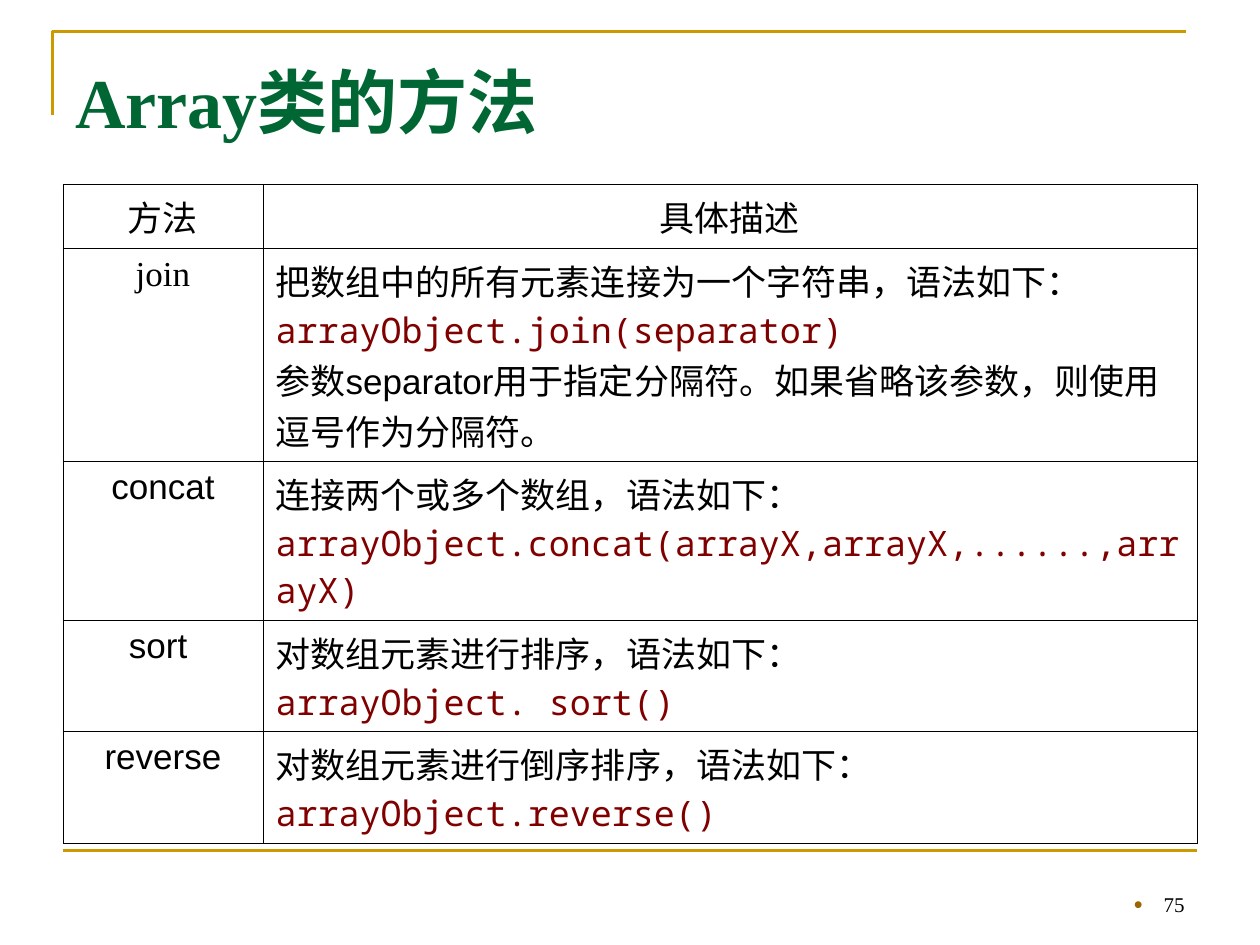
from lxml import etree
from pptx import Presentation
from pptx.dml.color import RGBColor
from pptx.enum.shapes import MSO_CONNECTOR
from pptx.enum.text import MSO_ANCHOR, PP_ALIGN
from pptx.oxml.ns import qn
from pptx.util import Cm, Pt

LEFT, CENTER, RIGHT = PP_ALIGN.LEFT, PP_ALIGN.CENTER, PP_ALIGN.RIGHT
TOP, BOTTOM = MSO_ANCHOR.TOP, MSO_ANCHOR.BOTTOM
STRAIGHT = MSO_CONNECTOR.STRAIGHT

GOLD = RGBColor(0xCC, 0x99, 0x00)
GREEN = RGBColor(0x00, 0x66, 0x33)
MAROON = RGBColor(0x80, 0x00, 0x00)
BROWN = RGBColor(0x99, 0x66, 0x00)
BLACK = RGBColor(0x00, 0x00, 0x00)
WHITE = RGBColor(0xFF, 0xFF, 0xFF)

SANS, SERIF, MONO = "Arial", "Times New Roman", "Noto Sans Mono"
CODE = "arrayObject."

HEADS = ("方法", "具体描述")
METHODS = [
    ("join", ["把数组中的所有元素连接为一个字符串，语法如下：",
              "arrayObject.join(separator)",
              "参数separator用于指定分隔符。如果省略该参数，则使用逗号作为分隔符。"]),
    ("concat", ["连接两个或多个数组，语法如下：",
                "arrayObject.concat(arrayX,arrayX,......,arrayX)"]),
    ("sort ", ["对数组元素进行排序，语法如下：", "arrayObject. sort()"]),
    ("reverse", ["对数组元素进行倒序排序，语法如下：", "arrayObject.reverse()"]),
]
WIDTHS = (4.03, 18.83)
HEIGHTS = (1.29, 4.29, 3.21, 2.24, 2.25)


def write(para, text, size=20, font=SANS, color=BLACK, bold=False, align=LEFT):
    para.alignment = align
    run = para.add_run()
    run.text = text
    run.font.size = Pt(size)
    run.font.name = font
    run.font.bold = bold
    run.font.color.rgb = color


def add_box(slide, left, top, width, height, anchor):
    """Add a wrapping text box and return its first paragraph."""
    frame = slide.shapes.add_textbox(Cm(left), Cm(top), Cm(width), Cm(height)).text_frame
    frame.word_wrap = True
    frame.vertical_anchor = anchor
    return frame.paragraphs[0]


def add_bullet(para, char, color, percent, indent):
    props = para._p.get_or_add_pPr()
    props.set("marL", str(Cm(indent)))
    props.set("indent", str(-Cm(indent)))
    tint = etree.SubElement(props, qn("a:buClr"))
    etree.SubElement(tint, qn("a:srgbClr"), val=str(color))
    etree.SubElement(props, qn("a:buSzPct"), val=str(percent * 1000))
    etree.SubElement(props, qn("a:buFont"), typeface=SANS)
    etree.SubElement(props, qn("a:buChar"), char=char)


def add_frame(slide):
    """Draw the corner line round the title and the line at the foot."""
    pen = slide.shapes.build_freeform(Cm(1.06), Cm(2.32))
    pen.add_line_segments([(Cm(1.06), Cm(0.63)), (Cm(23.91), Cm(0.63))], close=False)
    corner = pen.convert_to_shape()
    corner.fill.background()
    corner.shadow.inherit = False
    foot = slide.shapes.add_connector(STRAIGHT, Cm(1.27), Cm(17.15), Cm(24.13), Cm(17.15))
    etree.SubElement(foot._element.spPr, qn("a:effectLst"))
    for shape in (corner, foot):
        shape.line.color.rgb = GOLD
        shape.line.width = Pt(1.5)


def style_cell(cell):
    props = cell._tc.get_or_add_tcPr()
    for side in ("lnL", "lnR", "lnT", "lnB"):
        edge = etree.SubElement(props, qn(f"a:{side}"), w=str(Pt(0.45)))
        fill = etree.SubElement(edge, qn("a:solidFill"))
        etree.SubElement(fill, qn("a:srgbClr"), val=str(BLACK))
    cell.fill.solid()
    cell.fill.fore_color.rgb = WHITE


def fill_label(cell, text, font=SANS):
    para = cell.text_frame.paragraphs[0]
    para.space_after = Pt(1.2)
    write(para, text, font=font, align=CENTER)


def fill_notes(cell, lines):
    frame = cell.text_frame
    for i, line in enumerate(lines):
        para = frame.add_paragraph() if i else frame.paragraphs[0]
        if line.startswith(CODE):
            write(para, line, font=MONO, color=MAROON)
        else:
            write(para, line)


def add_methods(slide):
    table = slide.shapes.add_table(
        len(HEIGHTS), len(WIDTHS), Cm(1.27), Cm(3.72),
        Cm(sum(WIDTHS)), Cm(sum(HEIGHTS))).table
    table.first_row = table.horz_banding = False
    for col, width in zip(table.columns, WIDTHS):
        col.width = Cm(width)
    for row, height in zip(table.rows, HEIGHTS):
        row.height = Cm(height)
    for cell in table.iter_cells():
        style_cell(cell)
    for i, head in enumerate(HEADS):
        fill_label(table.cell(0, i), head)
    for i, (name, lines) in enumerate(METHODS, 1):
        fill_label(table.cell(i, 0), name, SERIF if name == "join" else SANS)
        fill_notes(table.cell(i, 1), lines)


def main():
    deck = Presentation()
    deck.slide_width, deck.slide_height = Cm(25.4), Cm(19.05)
    slide = deck.slides.add_slide(deck.slide_layouts[6])
    add_frame(slide)
    title = add_box(slide, 1.27, 1.05, 22.86, 2.87, TOP)
    write(title, "Array类的方法", size=40, font=SERIF, color=GREEN, bold=True)
    add_methods(slide)
    number = add_box(slide, 18.21, 17.34, 5.92, 1.27, BOTTOM)
    add_bullet(number, "•", BROWN, 120, 0.6)
    write(number, "75", size=12, font=SERIF, align=RIGHT)
    deck.save("out.pptx")


if __name__ == "__main__":
    main()
